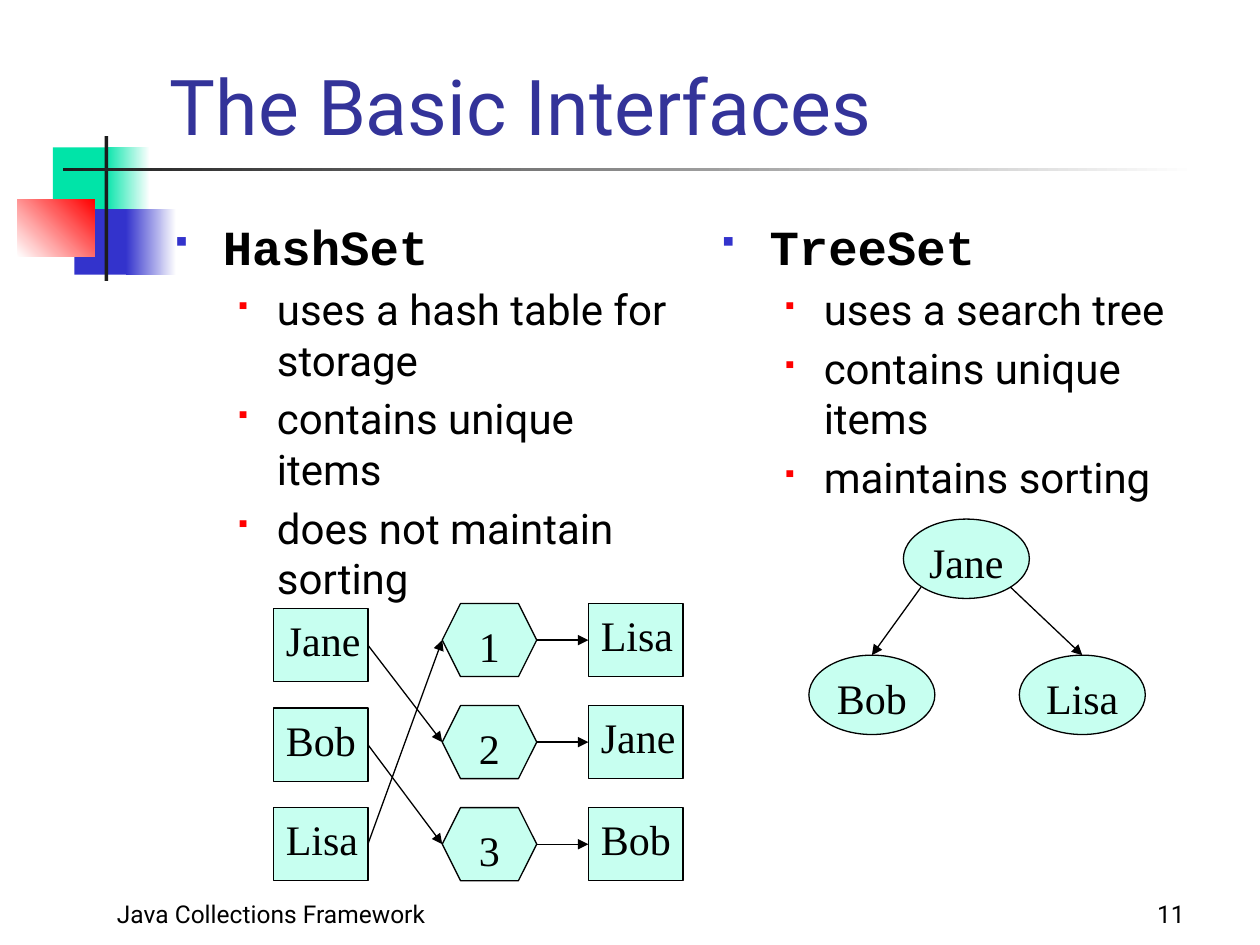
from dataclasses import dataclass
from typing import NamedTuple

from lxml import etree
from pptx import Presentation
from pptx.dml.color import RGBColor
from pptx.enum import shapes, text
from pptx.oxml import ns
from pptx.util import Inches, Pt

Box = tuple[float, float, float, float]
Point = tuple[float, float]


@dataclass(frozen=True)
class Theme:
    sans: str = "Roboto"
    serif: str = "Times New Roman"
    mono: str = "Courier New"
    title_size: int = 44
    head_size: int = 28
    body_size: int = 24
    footer_size: int = 14
    line_width: float = 0.75
    black: str = "000000"
    white: str = "FFFFFF"
    title: str = "333399"
    green: str = "00E4A8"
    blue: str = "3333CC"
    red: str = "FF0000"
    bar: str = "1C1C1C"
    node: str = "C7FFF0"


THEME = Theme()


class Decoration(NamedTuple):
    box: Box
    color: str
    end_color: str = ""
    angle: int = 0


class Level(NamedTuple):
    depth: int
    margin: float
    hanging: float
    bullet_color: str
    bullet_percent: int
    font: dict


class Node(NamedTuple):
    label: str
    box: Box
    shape: shapes.MSO_SHAPE
    align: text.PP_ALIGN

    def side(self, across: int) -> Point:
        """Give the middle of the left (0) or right (1) side."""
        left, top, width, height = self.box
        return left + across * width, top + height / 2


DECORATIONS = [
    Decoration((0.42, 1.17, 0.48, 0.52), THEME.green),
    Decoration((0.83, 1.17, 0.36, 0.52), THEME.green, THEME.white),
    Decoration((0.59, 1.66, 0.46, 0.52), THEME.blue),
    Decoration((1, 1.66, 0.4, 0.52), THEME.blue, THEME.white),
    Decoration((0.14, 1.58, 0.61, 0.46), THEME.white, THEME.red, 45),
    Decoration((0.83, 1.08, 0.03, 1.15), THEME.bar),
    Decoration((0.5, 1.33, 9, 0.03), THEME.bar, THEME.white),
]
HEADING = Level(0, 0.38, 0.38, THEME.blue, 60,
                {"name": THEME.mono, "size": Pt(THEME.head_size), "bold": True})
POINT = Level(1, 0.81, 0.31, THEME.red, 55,
              {"name": THEME.sans, "size": Pt(THEME.body_size), "bold": False})


def add_run(paragraph, words: str, font: dict, color: str = THEME.black) -> None:
    run = paragraph.add_run()
    run.text = words
    for attribute, value in font.items():
        setattr(run.font, attribute, value)
    run.font.color.rgb = RGBColor.from_string(color)


def add_block(slide, kind: shapes.MSO_SHAPE, box: Box, color: str):
    block = slide.shapes.add_shape(kind, *map(Inches, box))
    block.shadow.inherit = False
    block.fill.solid()
    block.fill.fore_color.rgb = RGBColor.from_string(color)
    return block


def add_decoration(slide, decoration: Decoration) -> None:
    block = add_block(slide, shapes.MSO_SHAPE.RECTANGLE, decoration.box, decoration.color)
    block.line.fill.background()
    if decoration.end_color:
        block.fill.gradient()
        block.fill.gradient_angle = decoration.angle
        for stop, color in zip(block.fill.gradient_stops, decoration[1:3]):
            stop.color.rgb = RGBColor.from_string(color)


def add_frame(slide, box: Box):
    frame = slide.shapes.add_textbox(*map(Inches, box)).text_frame
    frame.word_wrap = True
    return frame


def add_label(slide, words: str, box: Box, size: int, color: str = THEME.black,
              align: text.PP_ALIGN = text.PP_ALIGN.LEFT) -> None:
    """Add a one-line text that stands on the bottom of its box."""
    frame = add_frame(slide, box)
    frame.vertical_anchor = text.MSO_ANCHOR.BOTTOM
    frame.paragraphs[0].alignment = align
    add_run(frame.paragraphs[0], words, {"name": THEME.sans, "size": Pt(size)}, color)


def fill_bullet(paragraph, words: str, level: Level) -> None:
    paragraph.level = level.depth
    paragraph.space_before = Pt(level.font["size"].pt * 0.2)
    add_run(paragraph, words, level.font)
    properties = paragraph._p.get_or_add_pPr()
    properties.set("marL", str(Inches(level.margin)))
    properties.set("indent", str(-Inches(level.hanging)))
    color = etree.SubElement(properties, ns.qn("a:buClr"))
    etree.SubElement(color, ns.qn("a:srgbClr"), val=level.bullet_color)
    etree.SubElement(properties, ns.qn("a:buSzPct"), val=str(level.bullet_percent * 1000))
    etree.SubElement(properties, ns.qn("a:buFont"), typeface="Wingdings")
    etree.SubElement(properties, ns.qn("a:buChar"), char="§")


def add_column(slide, left: float, heading: str, *points: str) -> None:
    frame = add_frame(slide, (left, 1.67, 4.17, 5.04))
    fill_bullet(frame.paragraphs[0], heading, HEADING)
    for point in points:
        fill_bullet(frame.add_paragraph(), point, POINT)


def outline(line) -> None:
    line.color.rgb = RGBColor.from_string(THEME.black)
    line.width = Pt(THEME.line_width)


def add_node(slide, node: Node) -> None:
    block = add_block(slide, node.shape, node.box, THEME.node)
    outline(block.line)
    frame = block.text_frame
    frame.word_wrap = False
    frame.vertical_anchor = text.MSO_ANCHOR.TOP
    frame.paragraphs[0].alignment = node.align
    add_run(frame.paragraphs[0], node.label,
            {"name": THEME.serif, "size": Pt(THEME.body_size)})


def add_arrow(slide, start: Point, end: Point) -> None:
    arrow = slide.shapes.add_connector(shapes.MSO_CONNECTOR.STRAIGHT,
                                       *map(Inches, start + end))
    outline(arrow.line)
    properties = arrow._element.spPr
    etree.SubElement(properties.find(ns.qn("a:ln")), ns.qn("a:tailEnd"), type="triangle")
    etree.SubElement(properties, ns.qn("a:effectLst"))


def add_hash_diagram(slide) -> None:
    def stack(labels, left, top, pitch, shape=shapes.MSO_SHAPE.RECTANGLE,
              align=text.PP_ALIGN.LEFT) -> list[Node]:
        return [Node(label, (left, top + row * pitch, 0.75, 0.58), shape, align)
                for row, label in enumerate(labels)]

    keys = stack(["Jane", "Bob", "Lisa"], 2.17, 4.83, 0.79)
    buckets = stack("123", 3.51, 4.79, 0.81, shapes.MSO_SHAPE.HEXAGON, text.PP_ALIGN.CENTER)
    entries = stack(["Lisa", "Jane", "Bob"], 4.67, 4.79, 0.81)
    for node in keys + buckets + entries:
        add_node(slide, node)
    hashed = zip(keys, buckets[1:] + buckets[:1])
    for source, target in [*hashed, *zip(buckets, entries)]:
        add_arrow(slide, source.side(1), target.side(0))


def add_tree_diagram(slide) -> None:
    for label, left, top in (("Bob", 6.42, 5.2), ("Jane", 7.17, 4.12), ("Lisa", 8.09, 5.2)):
        add_node(slide, Node(label, (left, top, 1, 0.63),
                             shapes.MSO_SHAPE.OVAL, text.PP_ALIGN.CENTER))
    add_arrow(slide, (7.31, 4.66), (6.92, 5.2))
    add_arrow(slide, (8.02, 4.66), (8.59, 5.2))


deck = Presentation()
deck.slide_width, deck.slide_height = Inches(10), Inches(7.5)
basics = deck.slides.add_slide(deck.slide_layouts[6])
for item in DECORATIONS:
    add_decoration(basics, item)
add_label(basics, "The Basic Interfaces", (1.25, 0, 8.52, 1.25), THEME.title_size, THEME.title)
add_column(basics, 1.29, "HashSet", "uses a hash table for storage",
           "contains unique items", "does not maintain sorting")
add_column(basics, 5.63, "TreeSet", "uses a search tree",
           "contains unique items", "maintains sorting")
add_label(basics, "Java Collections Framework", (0.83, 6.92, 3.17, 0.5), THEME.footer_size)
add_label(basics, "11", (7.42, 6.92, 2.08, 0.5), THEME.footer_size, align=text.PP_ALIGN.RIGHT)
add_hash_diagram(basics)
add_tree_diagram(basics)
deck.save("out.pptx")
